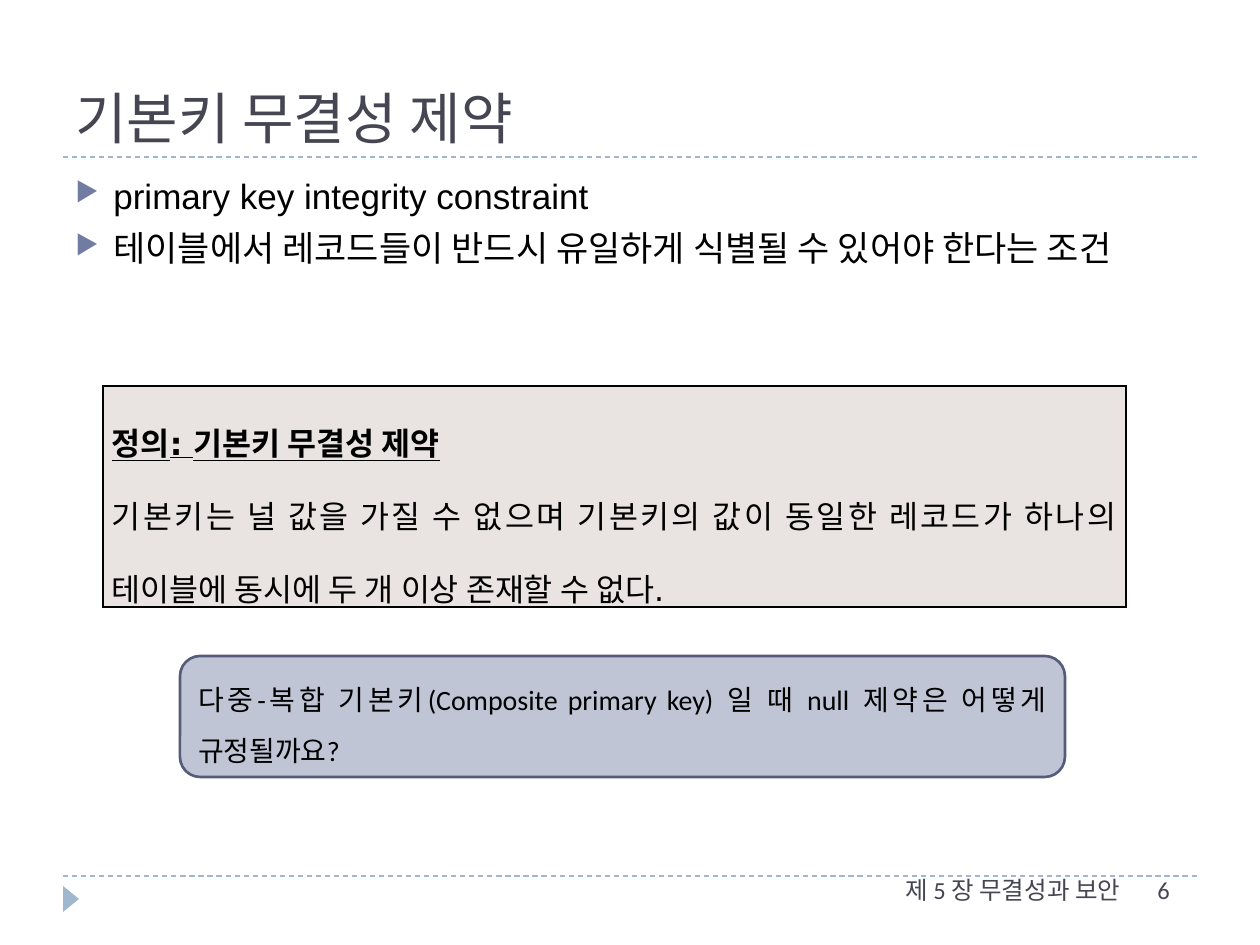
from dataclasses import dataclass

from lxml.etree import SubElement
from pptx import Presentation
from pptx.dml.color import RGBColor
from pptx.enum.dml import MSO_LINE_DASH_STYLE as Dash
from pptx.enum.shapes import MSO_CONNECTOR, MSO_SHAPE as Shape
from pptx.enum.text import MSO_ANCHOR as Anchor, PP_ALIGN as Align
from pptx.oxml.ns import qn
from pptx.util import Emu, Pt

PX_PER_INCH = 126


@dataclass(frozen=True)
class Theme:
    heading: str = "464653"
    text: str = "000000"
    accent: str = "9FB8CD"
    bullet: str = "727CA3"
    definition_fill: str = "E9E3E1"
    question_fill: str = "C0C5D6"
    question_line: str = "545C79"
    title_size: int = 32
    body_size: int = 20
    definition_size: int = 18
    question_size: int = 16
    footer_size: int = 14
    main_font: str = "Arial"
    definition_font: str = "DejaVu Sans"
    note_font: str = "Calibri"


def px(length):
    return Emu(round(length * 914400 / PX_PER_INCH))


def rgb(color):
    return RGBColor.from_string(color)


class SlideBuilder:
    def __init__(self, slide, theme):
        self.shapes = slide.shapes
        self.theme = theme

    def fill_text(self, frame, lines, font, size, color, align=Align.LEFT, spacing=None):
        """Fill a text frame with one paragraph per line and return the paragraphs."""
        frame.word_wrap = True
        for index, line in enumerate(lines):
            paragraph = frame.add_paragraph() if index else frame.paragraphs[0]
            paragraph.text = line
            paragraph.alignment = align
            paragraph.line_spacing = spacing
            paragraph.font.name = font
            paragraph.font.size = Pt(size)
            paragraph.font.color.rgb = rgb(color)
        return frame.paragraphs

    def text(self, box, lines, font, size, color, align=Align.LEFT, anchor=Anchor.TOP):
        frame = self.shapes.add_textbox(*map(px, box)).text_frame
        frame.vertical_anchor = anchor
        return self.fill_text(frame, lines, font, size, color, align)

    def bullets(self, box, lines):
        theme = self.theme
        for paragraph in self.text(box, lines, theme.main_font, theme.body_size, theme.text):
            paragraph.space_before = Pt(6)
            properties = paragraph._p.get_or_add_pPr()
            properties.set("marL", str(px(38)))
            properties.set("indent", str(px(-38)))
            defaults = properties.find(qn("a:defRPr"))
            color = SubElement(properties, qn("a:buClr"))
            SubElement(color, qn("a:srgbClr"), val=theme.bullet)
            SubElement(properties, qn("a:buSzPct"), val="76000")
            SubElement(properties, qn("a:buChar"), char="▶")
            properties.append(defaults)

    def rule(self, y):
        """Draw a dashed line across the slide."""
        line = self.shapes.add_connector(MSO_CONNECTOR.STRAIGHT, px(63), px(y), px(1197), px(y))
        line.line.color.rgb = rgb(self.theme.accent)
        line.line.width = Pt(0.75)
        line.line.dash_style = Dash.DASH
        SubElement(line._element.spPr, qn("a:effectLst"))

    def shape(self, kind, box, fill, line=None):
        shape = self.shapes.add_shape(kind, *map(px, box))
        shape.shadow.inherit = False
        shape.fill.solid()
        shape.fill.fore_color.rgb = rgb(fill)
        if line:
            shape.line.color.rgb = rgb(line)
            shape.line.width = Pt(1.5)
        else:
            shape.line.fill.background()
        return shape

    def marker(self, box):
        self.shape(Shape.ISOSCELES_TRIANGLE, box, self.theme.accent).rotation = 90

    def question(self, box, line):
        theme = self.theme
        shape = self.shape(Shape.ROUNDED_RECTANGLE, box, theme.question_fill, theme.question_line)
        shape.text_frame.vertical_anchor = Anchor.MIDDLE
        self.fill_text(shape.text_frame, [line], theme.note_font, theme.question_size,
                       theme.text, Align.JUSTIFY, 1.5)

    def definition(self, box, heading, sentence):
        theme = self.theme
        table = self.shapes.add_table(1, 1, *map(px, box)).table
        table.first_row = table.horz_banding = False
        cell = table.cell(0, 0)
        cell.margin_left = cell.margin_right = px(9)
        cell.margin_top = cell.margin_bottom = px(6)
        paragraphs = self.fill_text(cell.text_frame, [heading, sentence], theme.definition_font,
                                    theme.definition_size, theme.text, Align.JUSTIFY, 1.6)
        paragraphs[0].font.bold = paragraphs[0].font.underline = True
        properties = cell._tc.get_or_add_tcPr()
        for side in ("lnL", "lnR", "lnT", "lnB"):
            border = SubElement(properties, qn(f"a:{side}"), w=str(Pt(1)))
            fill = SubElement(border, qn("a:solidFill"))
            SubElement(fill, qn("a:srgbClr"), val=theme.text)
        cell.fill.solid()
        cell.fill.fore_color.rgb = rgb(theme.definition_fill)


def main():
    presentation = Presentation()
    presentation.slide_width, presentation.slide_height = px(1260), px(945)
    theme = Theme()
    builder = SlideBuilder(presentation.slides.add_slide(presentation.slide_layouts[6]), theme)

    for y in (876, 157):
        builder.rule(y)
    builder.marker((58, 891, 26, 16))
    builder.text((63, 21, 1134, 136), ["기본키 무결성 제약"], theme.main_font,
                 theme.title_size, theme.heading, anchor=Anchor.BOTTOM)
    builder.bullets((63, 168, 1134, 193), [
        "primary key integrity constraint",
        "테이블에서 레코드들이 반드시 유일하게 식별될 수 있어야 한다는 조건",
    ])
    builder.definition(
        (103, 386, 1023, 221), "정의: 기본키 무결성 제약",
        "기본키는 널 값을 가질 수 없으며 기본키의 값이 동일한 레코드가 하나의 "
        "테이블에 동시에 두 개 이상 존재할 수 없다.")
    footer = theme.note_font, theme.footer_size, theme.heading
    builder.text((654, 869, 479, 50), ["제 5 장 무결성과 보안"], *footer, align=Align.RIGHT)
    builder.text((1145, 869, 89, 50), ["6"], *footer)
    builder.question(
        (180, 656, 885, 121),
        "다중-복합 기본키(Composite primary key) 일 때 null 제약은 어떻게 규정될까요?")
    presentation.save("out.pptx")


if __name__ == "__main__":
    main()
